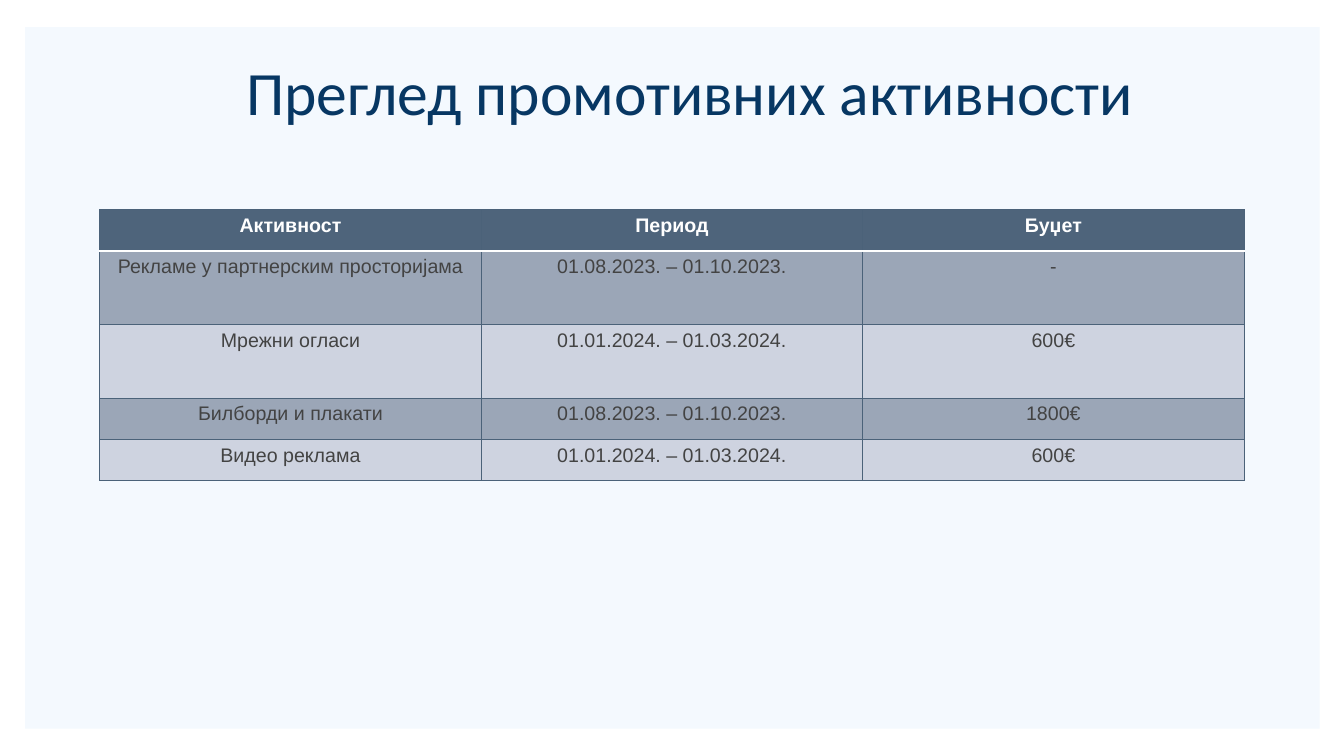
"""Build a slide with an overview table of promotional activities."""
from lxml.etree import SubElement
from pptx import Presentation
from pptx.dml.color import RGBColor
from pptx.enum.shapes import MSO_SHAPE as Shape
from pptx.enum.text import MSO_ANCHOR as Anchor, MSO_AUTO_SIZE as AutoSize, PP_ALIGN as Align
from pptx.oxml.ns import qn
from pptx.util import Inches, Pt


def color(value):
    return RGBColor.from_string(value)


def write(frame, text, font="Arial", size=14, fill="434343", bold=False):
    para = frame.paragraphs[0]
    para.alignment = Align.CENTER
    span = para.add_run()
    span.text = text
    span.font.name = font
    span.font.size = Pt(size)
    span.font.bold = bold
    span.font.color.rgb = color(fill)


ROWS = [
    ("Активност", "Период", "Буџет"),
    ("Рекламе у партнерским просторијама", "01.08.2023. – 01.10.2023.", "-"),
    ("Мрежни огласи", "01.01.2024. – 01.03.2024.", "600€"),
    ("Билборди и плакати", "01.08.2023. – 01.10.2023.", "1800€"),
    ("Видео реклама", "01.01.2024. – 01.03.2024.", "600€"),
]
HEIGHTS = [0.41, 0.73, 0.73, 0.41, 0.41]
FILLS = ["4E647B", "9BA6B7", "CED3E0", "9BA6B7", "CED3E0"]
GRID_LINE = ("4B6279", 0.75)
HEADER_LINE = ("FFFFFF", 2)

deck = Presentation()
deck.slide_width, deck.slide_height = Inches(13.33), Inches(7.5)
page = deck.slides.add_slide(deck.slide_layouts[5])
title = page.shapes.title

panel = page.shapes.add_shape(
    Shape.RECTANGLE, Inches(0.25), Inches(0.27), Inches(12.84), Inches(6.96))
panel.shadow.inherit = False
panel.fill.solid()
panel.fill.fore_color.rgb = color("F4F9FE")
panel.line.fill.background()
panel.element.addnext(title.element)

title.left, title.top = Inches(1.17), Inches(0.43)
title.width, title.height = Inches(11.35), Inches(0.84)
frame = title.text_frame
frame.margin_left = frame.margin_right = Inches(0.1)
frame.margin_top = frame.margin_bottom = Inches(0.1)
frame.vertical_anchor = Anchor.TOP
frame.auto_size = AutoSize.NONE
frame.word_wrap = True
write(frame, "Преглед промотивних активности", font="Calibri", size=44, fill="073763")

table = page.shapes.add_table(
    len(ROWS), 3, Inches(0.99), Inches(2.08), Inches(11.35), Inches(sum(HEIGHTS))).table
table.horz_banding = False

for row, texts in enumerate(ROWS):
    table.rows[row].height = Inches(HEIGHTS[row])
    header = row == 0
    borders = {
        "a:lnL": GRID_LINE,
        "a:lnR": GRID_LINE,
        "a:lnT": HEADER_LINE if row == 1 else GRID_LINE,
        "a:lnB": HEADER_LINE if header else GRID_LINE,
    }
    for column, text in enumerate(texts):
        cell = table.cell(row, column)
        write(cell.text_frame, text, fill="FFFFFF" if header else "434343", bold=header)
        properties = cell._tc.get_or_add_tcPr()
        for tag, (line_color, width) in borders.items():
            line = SubElement(properties, qn(tag), w=str(Pt(width)))
            solid = SubElement(line, qn("a:solidFill"))
            SubElement(solid, qn("a:srgbClr"), val=line_color)
        cell.fill.solid()
        cell.fill.fore_color.rgb = color(FILLS[row])

deck.save("out.pptx")
